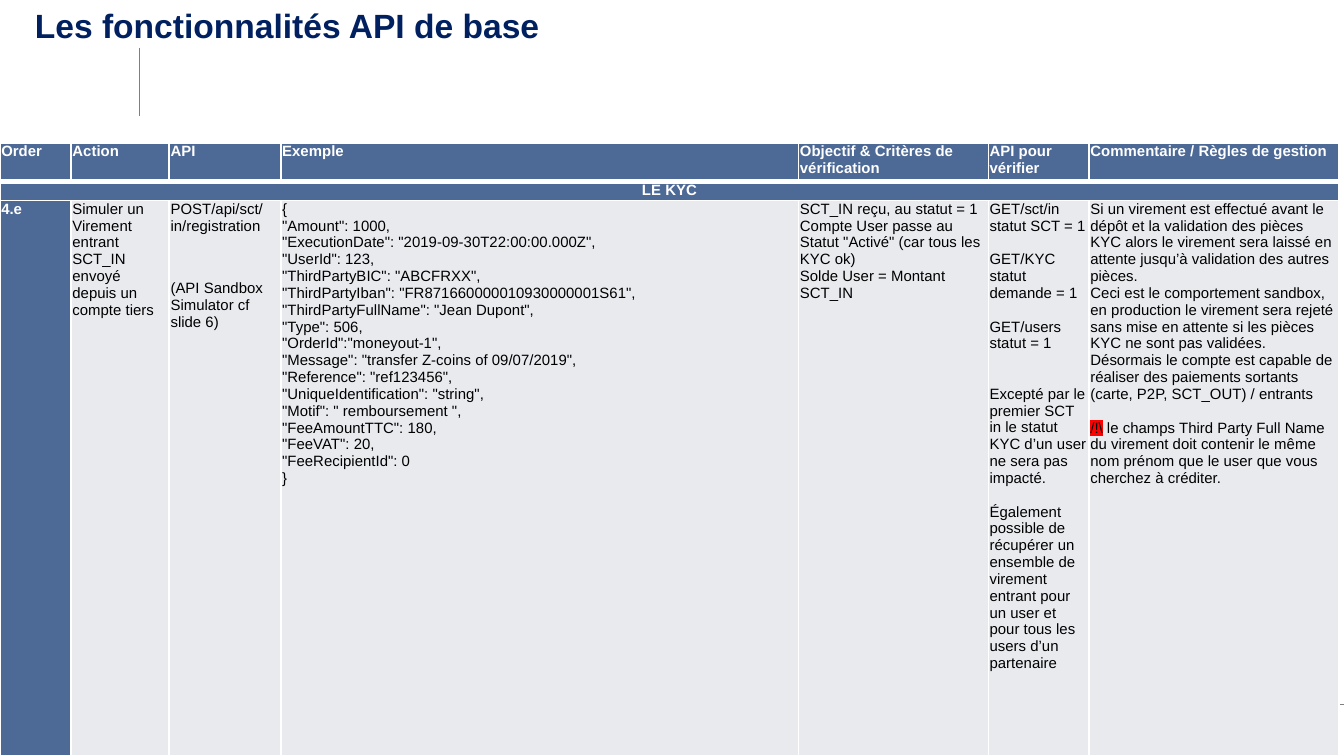
"""Build the slide listing the basic API functions in a table."""
import pptx
import pptx.util
import pptx.dml.color
import pptx.enum.shapes
import pptx.enum.text
import pptx.oxml
import pptx.oxml.ns
from dataclasses import dataclass
from lxml import etree

Pt = pptx.util.Pt
RGB = pptx.dml.color.RGBColor.from_string
qn = pptx.oxml.ns.qn
ALIGN = pptx.enum.text.PP_ALIGN


@dataclass
class Theme:
    font: str = "Arial"
    title: str = "002060"
    head: str = "4D6995"
    body: str = "E8EAEE"
    white: str = "FFFFFF"
    black: str = "000000"
    rule: str = "7F7F7F"
    alert: str = "FF0000"
    title_size: float = 18
    cell_size: float = 8


T = Theme()
ALERT = "/!\\"


def write(tf, text, size=T.cell_size, color=T.black, bold=False, align=ALIGN.LEFT, gaps=None):
    for i, line in enumerate(text.split("\n")):
        p = tf.paragraphs[0] if i == 0 else tf.add_paragraph()
        p.alignment = align
        p.space_before = Pt((gaps or {}).get(i, 0))
        start, mark, rest = line.partition(ALERT)
        for part in filter(None, (start, mark, rest)):
            r = p.add_run()
            r.text = part
            r.font.size, r.font.bold = Pt(size), bold
            r.font.color.rgb = RGB(color)
            r.font.name = T.font
            if part == ALERT:
                highlight = etree.Element(qn("a:highlight"))
                etree.SubElement(highlight, qn("a:srgbClr"), val=T.alert)
                r._r.rPr.find(qn("a:solidFill")).addnext(highlight)


def paint(cell, fill, top=1, bottom=1):
    tcPr = cell._tc.get_or_add_tcPr()
    for side, width in (("L", 1), ("R", 1), ("T", top), ("B", bottom)):
        ln = etree.SubElement(tcPr, qn(f"a:ln{side}"), w=str(Pt(width)))
        solid = etree.SubElement(ln, qn("a:solidFill"))
        etree.SubElement(solid, qn("a:srgbClr"), val=T.white)
    cell.fill.solid()
    cell.fill.fore_color.rgb = RGB(fill)
    cell.margin_left = cell.margin_right = Pt(0.7)
    cell.margin_top = cell.margin_bottom = 0


prs = pptx.Presentation()
prs.slide_width, prs.slide_height = Pt(720), Pt(405)
s = prs.slides.add_slide(prs.slide_layouts[5])

for x1, y1, x2, y2 in ((74.7, 25.5, 74.7, 62), (85, 377.3, 720, 377.3)):
    sp = s.shapes.add_connector(
        pptx.enum.shapes.MSO_CONNECTOR.STRAIGHT, Pt(x1), Pt(y1), Pt(x2), Pt(y2))
    sp.line.color.rgb = RGB(T.rule)
    sp.line.width = Pt(0.75)
    etree.SubElement(sp._element.spPr, qn("a:effectLst"))

title = s.shapes.title
title.left, title.top, title.width, title.height = Pt(11.5), Pt(-0.7), Pt(471.6), Pt(28.8)
tf = title.text_frame
tf.word_wrap = True
tf.auto_size = pptx.enum.text.MSO_AUTO_SIZE.NONE
tf.vertical_anchor = pptx.enum.text.MSO_ANCHOR.TOP
write(tf, "Les fonctionnalités API de base", size=T.title_size, color=T.title, bold=True)

headers = ["Order", "Action", "API", "Exemple", "Objectif & Critères de vérification",
           "API pour vérifier", "Commentaire / Règles de gestion"]
example = """{
"Amount": 1000,
"ExecutionDate": "2019-09-30T22:00:00.000Z",
"UserId": 123,
"ThirdPartyBIC": "ABCFRXX",
"ThirdPartyIban": "FR871660000010930000001S61",
"ThirdPartyFullName": "Jean Dupont",
"Type": 506,
"OrderId":"moneyout-1",
"Message": "transfer Z-coins of 09/07/2019",
"Reference": "ref123456",
"UniqueIdentification": "string",
"Motif": " remboursement ",
"FeeAmountTTC": 180,
"FeeVAT": 20,
"FeeRecipientId": 0
}"""
goal = """SCT_IN reçu, au statut = 1
Compte User passe au Statut "Activé" (car tous les KYC ok)
Solde User = Montant SCT_IN"""
checks = """GET/sct/in
statut SCT = 1
GET/KYC
statut demande = 1
GET/users
statut = 1
Excepté par le premier SCT in le statut KYC d’un user ne sera pas impacté.
Également possible de récupérer un ensemble de virement entrant pour un user et pour tous les users d’un partenaire"""
rules = f"""Si un virement est effectué avant le dépôt et la validation des pièces KYC alors le virement sera laissé en attente jusqu’à validation des autres pièces.
Ceci est le comportement sandbox, en production le virement sera rejeté sans mise en attente si les pièces KYC ne sont pas validées.
Désormais le compte est capable de réaliser des paiements sortants (carte, P2P, SCT_OUT) / entrants
{ALERT} le champs Third Party Full Name du virement doit contenir le même nom prénom que le user que vous cherchez à créditer."""
details = [
    ("Simuler un Virement entrant SCT_IN envoyé depuis un compte tiers", {}),
    ("POST/api/sct/in/registration\n(API Sandbox Simulator cf slide 6)", {1: 24.5}),
    (example, {}),
    (goal, {}),
    (checks, {2: 9, 4: 9, 6: 18, 7: 9}),
    (rules, {3: 9}),
]

widths = [38.1, 52.6, 59.8, 277.4, 101.6, 54, 133.9]
heights = [20.9, 10.1, 297.4]
table = s.shapes.add_table(
    3, 7, 0, Pt(76.5), Pt(sum(widths)), Pt(sum(heights))).table
table.horz_banding = False
for column, width in zip(table.columns, widths):
    column.width = Pt(width)
for row, height in zip(table.rows, heights):
    row.height = Pt(height)

for c, header in enumerate(headers):
    paint(table.cell(0, c), T.head, bottom=3)
    paint(table.cell(1, c), T.head, top=3)
    paint(table.cell(2, c), T.body if c else T.head)
    write(table.cell(0, c).text_frame, header, color=T.white, bold=True)

table.cell(1, 0).merge(table.cell(1, 6))
write(table.cell(1, 0).text_frame, "LE KYC", color=T.white, bold=True, align=ALIGN.CENTER)
write(table.cell(2, 0).text_frame, "4.e", color=T.white, bold=True)
for c, (text, gaps) in enumerate(details, 1):
    write(table.cell(2, c).text_frame, text, gaps=gaps)

prs.save("out.pptx")
